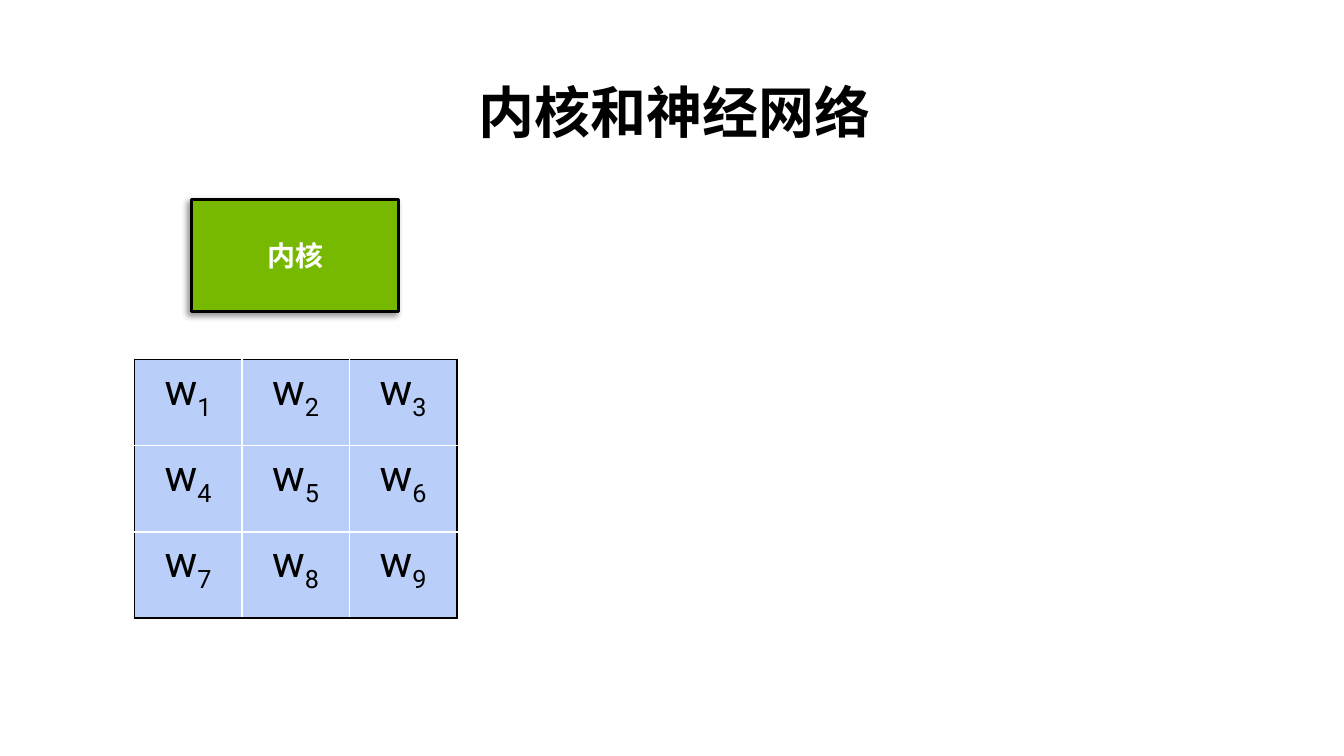
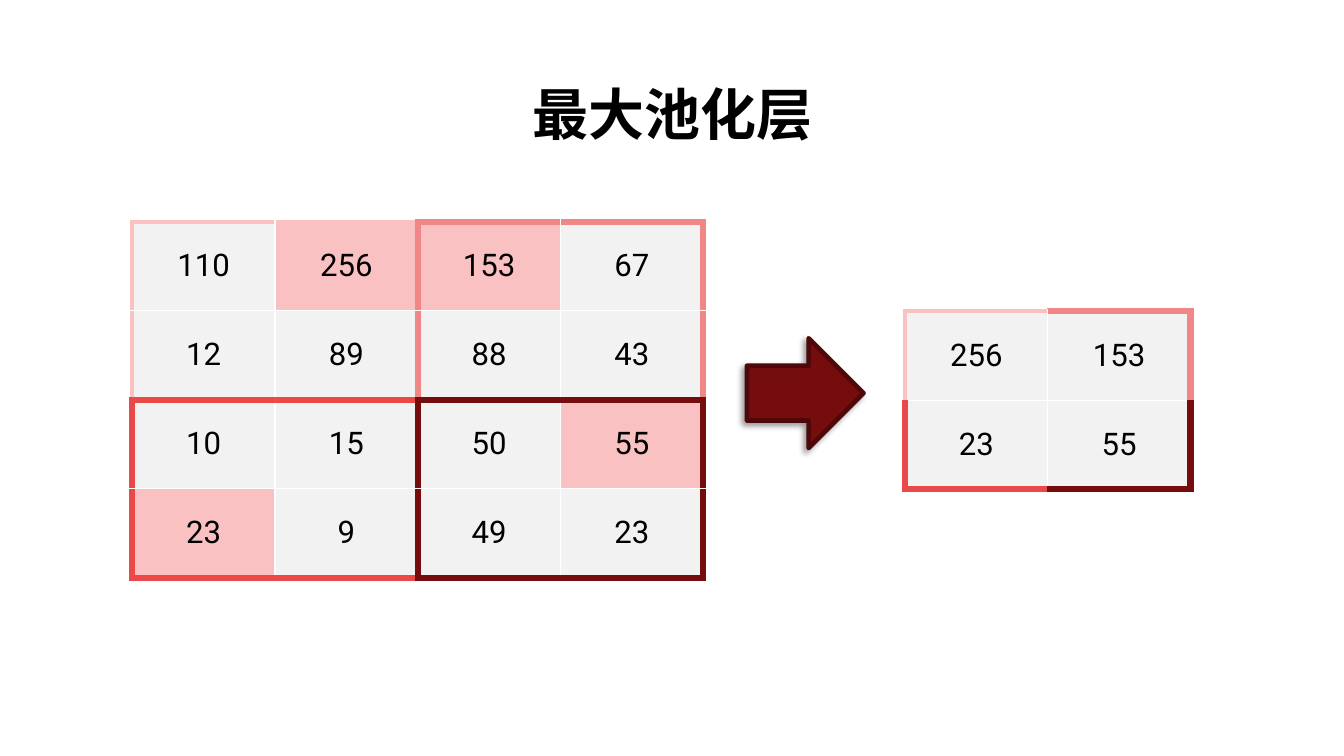
from dataclasses import dataclass

from lxml.etree import SubElement
from pptx import Presentation
from pptx.dml.color import RGBColor
from pptx.enum.shapes import MSO_SHAPE
from pptx.enum.text import MSO_ANCHOR, PP_ALIGN
from pptx.oxml.ns import qn
from pptx.util import Inches, Pt

KERNEL_TITLE = "内核和神经网络"
KERNEL_LABEL = "内核"
WEIGHTS = [[("w", "1"), ("w", "2"), ("w", "3")],
           [("w", "4"), ("w", "5"), ("w", "6")],
           [("w", "7"), ("w", "8"), ("w", "9")]]

POOLING_TITLE = "最大池化层"
POOL_SIZE = 2
POOL_INPUT = [[110, 256, 153, 67],
              [12, 89, 88, 43],
              [10, 15, 50, 55],
              [23, 9, 49, 23]]


@dataclass(frozen=True)
class Theme:
    font: str = "Roboto"
    black: str = "000000"
    white: str = "FFFFFF"
    green: str = "76B900"
    blue: str = "B9CFF9"
    gray: str = "F2F2F2"
    pink: str = "F9C1C1"
    salmon: str = "F18686"
    red: str = "EB4848"
    maroon: str = "760D0D"
    dark_maroon: str = "4F0809"
    title_size: float = 36
    weight_size: float = 28
    number_size: float = 20
    label_size: float = 18


THEME = Theme()
GRID_LINE = (THEME.white, 1)
KERNEL_FRAME = [(THEME.black, 1)]
POOL_FRAMES = [(THEME.pink, 3), (THEME.salmon, 4.5),
               (THEME.red, 4.5), (THEME.maroon, 4.5)]
SIDES = {"a:lnL": (0, -1), "a:lnR": (0, 1), "a:lnT": (-1, 0), "a:lnB": (1, 0)}


def color(code):
    return RGBColor.from_string(code)


def write(frame, text, subscript="", size=18, ink=THEME.black, bold=False, spacing=None):
    para = frame.paragraphs[0]
    para.alignment = PP_ALIGN.CENTER
    if spacing:
        para.line_spacing = spacing
    for part, baseline in ((text, 0), (subscript, -25)):
        if not part:
            continue
        span = para.add_run()
        span.text = part
        span.font.name = THEME.font
        span.font.size = Pt(size)
        span.font.bold = bold
        span.font.color.rgb = color(ink)
        if baseline:
            span.font._element.set("baseline", str(baseline * 1000))


def add_title(page, text, left, top):
    box = page.shapes.add_textbox(Inches(left), Inches(top), Inches(10.91), Inches(0.65))
    box.text_frame.word_wrap = True
    box.text_frame.vertical_anchor = MSO_ANCHOR.BOTTOM
    write(box.text_frame, text, size=THEME.title_size, bold=True, spacing=0.9)


def add_shadow(shape):
    """Cast a soft shadow towards the lower left."""
    shape.shadow.inherit = False
    effects = shape._element.spPr.find(qn("a:effectLst"))
    shadow = SubElement(effects, qn("a:outerShdw"), blurRad=str(Pt(4)), dist=str(Pt(3)),
                        dir=str(135 * 60000), algn="tr", rotWithShape="0")
    black = SubElement(shadow, qn("a:srgbClr"), val=THEME.black)
    SubElement(black, qn("a:alpha"), val="40000")


def add_block(page, preset, area, fill, line, line_width):
    block = page.shapes.add_shape(preset, *map(Inches, area))
    block.fill.solid()
    block.fill.fore_color.rgb = color(fill)
    block.line.color.rgb = color(line)
    block.line.width = Pt(line_width)
    add_shadow(block)
    return block


def add_border(cell, side, line):
    code, width = line
    edge = SubElement(cell._tc.get_or_add_tcPr(), qn(side), w=str(Pt(width)))
    SubElement(SubElement(edge, qn("a:solidFill")), qn("a:srgbClr"), val=code)


def cell_borders(row, column, count, region_size, frames, divided):
    """Yield each side with its line; where regions meet, the later region's frame wins."""
    def region(r, c):
        return r // region_size * (count // region_size) + c // region_size

    own = region(row, column)
    for side, (down, across) in SIDES.items():
        r, c = row + down, column + across
        if not (0 <= r < count and 0 <= c < count):
            yield side, frames[own]
        elif divided and region(r, c) != own:
            yield side, frames[max(own, region(r, c))]
        else:
            yield side, GRID_LINE


def add_grid(page, rows, area, size, fill_of, frames, region_size,
             divided=False, anchor=MSO_ANCHOR.MIDDLE):
    count = len(rows)
    left, top, width, height = area
    table = page.shapes.add_table(count, count, *map(Inches, area)).table
    table.first_row = table.horz_banding = False
    for index in range(count):
        table.columns[index].width = Inches(width / count)
        table.rows[index].height = Inches(height / count)
    for r, values in enumerate(rows):
        for c, value in enumerate(values):
            cell = table.cell(r, c)
            cell.vertical_anchor = anchor
            parts = value if isinstance(value, tuple) else (str(value),)
            write(cell.text_frame, *parts, size=size)
            for side, line in cell_borders(r, c, count, region_size, frames, divided):
                add_border(cell, side, line)
            cell.fill.solid()
            cell.fill.fore_color.rgb = color(fill_of(r, c))


def max_pool(rows, size):
    starts = range(0, len(rows), size)
    return [[max(max(row[c:c + size]) for row in rows[r:r + size]) for c in starts]
            for r in starts]


def build_kernel_page(page):
    add_title(page, KERNEL_TITLE, 0.57, 0.7)
    label = add_block(page, MSO_SHAPE.RECTANGLE, (1.71, 1.78, 1.85, 1),
                      THEME.green, THEME.black, 2.25)
    label.text_frame.vertical_anchor = MSO_ANCHOR.MIDDLE
    write(label.text_frame, KERNEL_LABEL, size=THEME.label_size, ink=THEME.white, bold=True)
    add_grid(page, WEIGHTS, (1.2, 3.21, 2.88, 2.31), THEME.weight_size,
             lambda r, c: THEME.blue, KERNEL_FRAME, len(WEIGHTS), anchor=MSO_ANCHOR.TOP)


def build_pooling_page(page):
    pooled = max_pool(POOL_INPUT, POOL_SIZE)

    def input_fill(r, c):
        is_maximum = POOL_INPUT[r][c] == pooled[r // POOL_SIZE][c // POOL_SIZE]
        return THEME.pink if is_maximum else THEME.gray

    add_title(page, POOLING_TITLE, 0.55, 0.72)
    add_grid(page, POOL_INPUT, (1.18, 1.98, 5.1, 3.18), THEME.number_size,
             input_fill, POOL_FRAMES, POOL_SIZE, divided=True)
    add_grid(page, pooled, (8.08, 2.78, 2.55, 1.59), THEME.number_size,
             lambda r, c: THEME.gray, POOL_FRAMES, 1)
    add_block(page, MSO_SHAPE.RIGHT_ARROW, (6.67, 3.02, 1.04, 0.98),
              THEME.maroon, THEME.dark_maroon, 3)


def main():
    deck = Presentation()
    deck.slide_width, deck.slide_height = Inches(12), Inches(6.75)
    for build in (build_kernel_page, build_pooling_page):
        build(deck.slides.add_slide(deck.slide_layouts[6]))
    deck.save("out.pptx")


if __name__ == "__main__":
    main()
